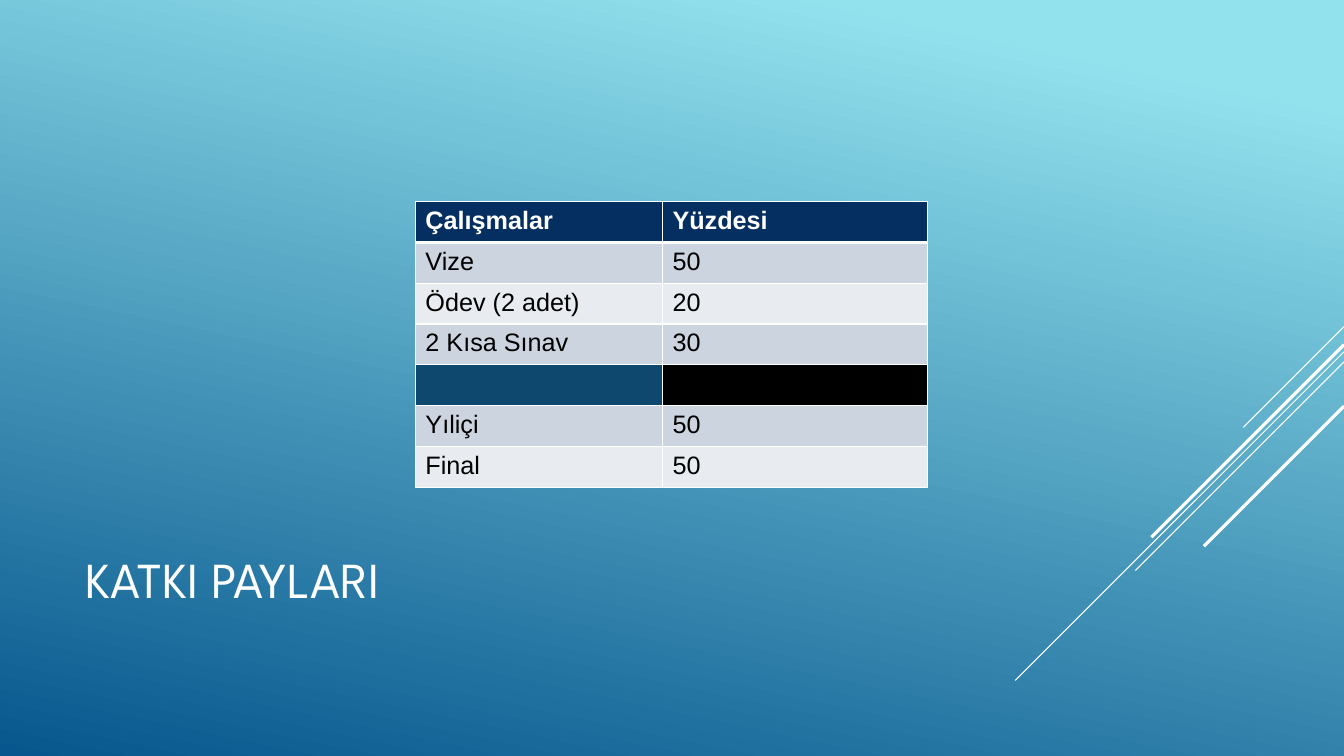
"""Build the slide showing how coursework contributes to the final grade."""
import lxml.etree
import pptx
import pptx.dml.color
import pptx.enum.shapes
import pptx.enum.text
import pptx.oxml.ns
import pptx.util

TITLE = "KATKI PAYLARI"
ROWS = [
    ("Çalışmalar", "Yüzdesi"),
    ("Vize", "50"),
    ("Ödev (2 adet)", "20"),
    ("2 Kısa Sınav", "30"),
    ("", ""),
    ("Yıliçi", "50"),
    ("Final", "50"),
]
COLORS = {
    "white": "FFFFFF", "black": "000000", "header": "052F61",
    "odd": "CCD4DF", "even": "E8ECF0", "spacer": "0F486F",
    "sky": "92E2EE", "deep": "07578E",
}
FONTS = {"title": "League Spartan", "table": "Arial"}
SLIDE_W, SLIDE_H = 13.33, 7.5
COL_WIDTHS = (2.45, 2.63)
TABLE_LEFT, TABLE_TOP, TABLE_H = 4.12, 2, 2.82
SPACER_ROW, SPACER_H = 4, 0.39
DIAGONALS = [
    (3.24, 1, 0.75), (3.49, 3.26, 0.75), (3.59, 2.07, 0.75),
    (3.42, 1.91, 2.25), (4.03, 1.39, 2.25),
]

Inches, Pt = pptx.util.Inches, pptx.util.Pt
qn = pptx.oxml.ns.qn


def rgb(name):
    return pptx.dml.color.RGBColor.from_string(COLORS[name])


def add_run(p, text, font, size, color, bold=False):
    r = p.add_run()
    r.text = text
    r.font.name, r.font.size, r.font.bold = FONTS[font], Pt(size), bold
    r.font.color.rgb = rgb(color)


def add_border(cell, side, width):
    tcPr = cell._tc.get_or_add_tcPr()
    ln = lxml.etree.SubElement(tcPr, qn(f"a:ln{side}"), w=str(Pt(width)))
    fill = lxml.etree.SubElement(ln, qn("a:solidFill"))
    lxml.etree.SubElement(fill, qn("a:srgbClr"), val=COLORS["white"])


def cell_color(row, col):
    if row == 0:
        return "header"
    if row == SPACER_ROW:
        return ("spacer", "black")[col]
    return "odd" if row % 2 else "even"


def paint_background(slide):
    fill = slide.background.fill
    fill.gradient()
    fill.gradient_angle = 360 - 102
    for stop, (color, position) in zip(fill.gradient_stops, [("sky", 0.1), ("deep", 1)]):
        stop.color.rgb = rgb(color)
        stop.position = position


def add_diagonals(slide):
    for top, reach, width in DIAGONALS:
        line = slide.shapes.add_connector(
            pptx.enum.shapes.MSO_CONNECTOR.STRAIGHT,
            Inches(SLIDE_W), Inches(top), Inches(SLIDE_W - reach), Inches(top + reach))
        line.line.color.rgb = rgb("white")
        line.line.width = Pt(width)
        lxml.etree.SubElement(line._element.spPr, qn("a:effectLst"))


def add_title(slide):
    sp = slide.shapes.title
    sp.left, sp.top, sp.width, sp.height = map(Inches, (0.75, 4.91, 9.33, 1.65))
    tf = sp.text_frame
    tf.word_wrap = True
    tf.vertical_anchor = pptx.enum.text.MSO_ANCHOR.MIDDLE
    p = tf.paragraphs[0]
    p.alignment = pptx.enum.text.PP_ALIGN.LEFT
    add_run(p, TITLE, "title", 36, "white")


def add_grades(slide):
    table = slide.shapes.add_table(
        len(ROWS), len(COL_WIDTHS), Inches(TABLE_LEFT), Inches(TABLE_TOP),
        Inches(sum(COL_WIDTHS)), Inches(TABLE_H)).table
    row_h = (TABLE_H - SPACER_H) / (len(ROWS) - 1)
    for col, width in enumerate(COL_WIDTHS):
        table.columns[col].width = Inches(width)
    for row, texts in enumerate(ROWS):
        table.rows[row].height = Inches(SPACER_H if row == SPACER_ROW else row_h)
        for col, text in enumerate(texts):
            cell = table.cell(row, col)
            for side in "LRTB":
                heavy = (row, side) in [(0, "B"), (1, "T")]
                add_border(cell, side, 3 if heavy else 1)
            cell.fill.solid()
            cell.fill.fore_color.rgb = rgb(cell_color(row, col))
            p = cell.text_frame.paragraphs[0]
            if text:
                add_run(p, text, "table", 18, "black" if row else "white", row == 0)


def main():
    prs = pptx.Presentation()
    prs.slide_width, prs.slide_height = Inches(SLIDE_W), Inches(SLIDE_H)
    slide = prs.slides.add_slide(prs.slide_layouts[5])
    paint_background(slide)
    add_diagonals(slide)
    add_title(slide)
    add_grades(slide)
    prs.save("out.pptx")


if __name__ == "__main__":
    main()
